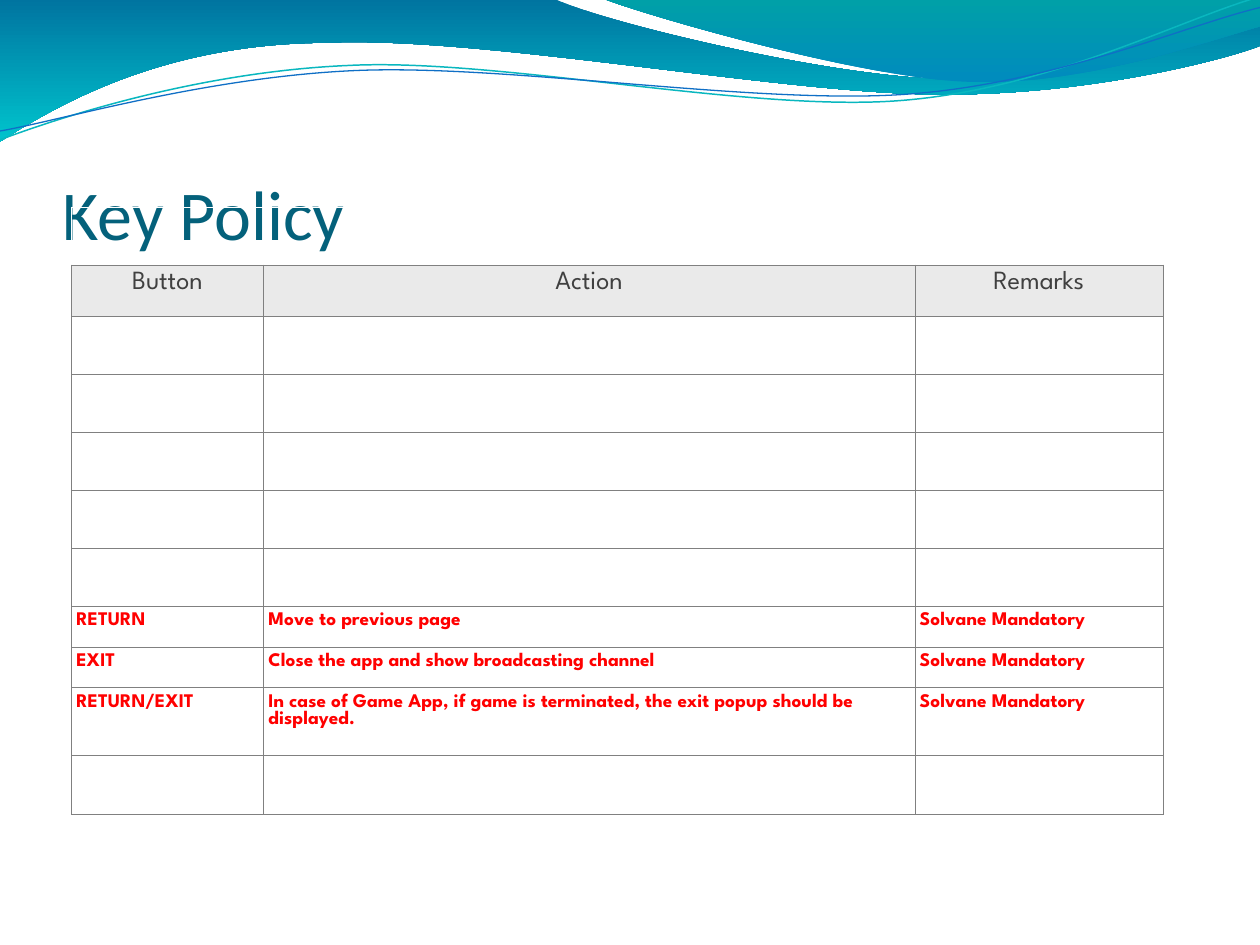
from lxml.etree import SubElement
from pptx import Presentation
from pptx.dml.color import RGBColor as Rgb
from pptx.enum.text import MSO_ANCHOR as Anchor, PP_ALIGN as Align
from pptx.oxml.ns import qn
from pptx.util import Cm, Pt

COLORS = {
    "title": "04617B", "heading": "404040", "mandatory": "FF0000",
    "heading_fill": "EAEAEA", "white": "FFFFFF", "grid": "808080",
    "wave_dark": "0074A0", "wave_light": "00C4CD",
    "crest_low": "008ABF", "crest_high": "00A0A8",
    "teal_line": "09B7BF", "blue_line": "0F6FC6",
}
TITLE = "Key Policy"
HEADINGS = ("Button", "Action", "Remarks")
REMARK = "Solvane Mandatory"
POLICIES = [
    ("RETURN", "Move to previous page", REMARK),
    ("EXIT", "Close the app and show broadcasting channel", REMARK),
    ("RETURN/EXIT", "In case of Game App, if game is terminated, "
     "the exit popup should be displayed.", REMARK),
]
BLANK = ("", "", "")
ROWS = [BLANK, HEADINGS, *[BLANK] * 5, *POLICIES, BLANK]
ROW_HEIGHTS = [1.17, 1.03, *[1.17] * 5, 0.82, 0.82, 1.37, 1.19]
COLUMN_WIDTHS = [3.87, 13.13, 5]

UNIT = Cm(2.54)
BANDS = [
    ([(0, 0), (4.4, -0.01), (4.76, 0.17, 6.64, 0.63, 7.58, 0.63),
      (8.53, 0.63, 9.58, 0.26, 10, 0.09), (10.01, 0.36),
      (9.83, 0.44, 8.7, 0.76, 7.46, 0.75), (6.22, 0.75, 3.82, 0.28, 2.57, 0.34),
      (1.29, 0.35, 0.46, 0.83, -0.01, 1.13), (0, 0)], ("wave_dark", "wave_light"), 270),
    ([(4.79, -0.01), (5.09, 0.11, 6.82, 0.62, 7.69, 0.65),
      (8.56, 0.69, 9.61, 0.32, 10, 0.21), (10, 0), (4.79, -0.01)],
     ("crest_low", "crest_high"), 90),
]
STRANDS = [
    ([(0, 1.11), (0.48, 0.93, 1.58, 0.57, 2.77, 0.52),
      (3.95, 0.46, 5.93, 0.89, 7.13, 0.8),
      (8.33, 0.71, 9.38, 0.15, 9.98, -0.02)], "teal_line", 0.85),
    ([(0, 1.04), (0.47, 0.96, 1.64, 0.61, 2.83, 0.56),
      (4.03, 0.51, 5.97, 0.83, 7.17, 0.75),
      (8.36, 0.67, 9.41, 0.2, 10, 0.06)], "blue_line", 0.75),
]


def rgb(name):
    return Rgb.from_string(COLORS[name])


def add_outline(slide, outline, close):
    points = [(round(part[i] * UNIT), round(part[i + 1] * UNIT))
              for part in outline for i in range(0, len(part), 2)]
    builder = slide.shapes.build_freeform(*points[0], scale=1.0)
    builder.add_line_segments(points[1:], close=close)
    shape = builder.convert_to_shape()
    shape.shadow.inherit = False
    segments = iter(list(shape._element.iter(qn("a:lnTo"))))
    for part in outline[1:]:
        first = next(segments)
        if len(part) == 6:
            curve = first.makeelement(qn("a:cubicBezTo"))
            first.addprevious(curve)
            for segment in (first, next(segments), next(segments)):
                curve.append(segment[0])
                segment.getparent().remove(segment)
    return shape


def write(paragraph, text, font, size, color, bold=False):
    run = paragraph.add_run()
    run.text = text
    run.font.name, run.font.size, run.font.bold = font, Pt(size), bold
    run.font.color.rgb = rgb(color)


def set_borders(cell, colors):
    properties = cell._tc.get_or_add_tcPr()
    for side, color in zip("LRTB", colors):
        line = SubElement(properties, qn(f"a:ln{side}"), w=str(Pt(0.23)))
        fill = SubElement(line, qn("a:solidFill"))
        SubElement(fill, qn("a:srgbClr"), val=COLORS[color])


def add_waves(slide):
    for outline, stops, angle in BANDS:
        band = add_outline(slide, outline, True)
        band.fill.gradient()
        band.fill.gradient_angle = angle
        for stop, color, position in zip(band.fill.gradient_stops, stops, (0, 1)):
            stop.color.rgb = rgb(color)
            stop.position = position
        band.line.fill.background()
    for outline, color, width in STRANDS:
        strand = add_outline(slide, outline, False)
        strand.fill.background()
        strand.line.color.rgb = rgb(color)
        strand.line.width = Pt(width)


def add_title(slide):
    frame = slide.shapes.add_textbox(Cm(1.27), Cm(1.96), Cm(22.86), Cm(3.17)).text_frame
    frame.word_wrap = True
    frame.vertical_anchor = Anchor.BOTTOM
    frame.margin_left = frame.margin_right = frame.margin_bottom = 0
    write(frame.paragraphs[0], TITLE, "Calibri", 40, "title")


def add_policy_table(slide):
    table = slide.shapes.add_table(len(ROWS), len(HEADINGS), Cm(1.44), Cm(4.17),
                                   Cm(sum(COLUMN_WIDTHS)), Cm(sum(ROW_HEIGHTS))).table
    table.first_row = table.horz_banding = False
    for column, width in zip(table.columns, COLUMN_WIDTHS):
        column.width = Cm(width)
    for index, (row, height, texts) in enumerate(zip(table.rows, ROW_HEIGHTS, ROWS)):
        row.height = Cm(height)
        heading = texts is HEADINGS
        for cell, text in zip(row.cells, texts):
            set_borders(cell, ["grid"] * 4 if index else ["white"] * 3 + ["grid"])
            if index:
                cell.fill.solid()
                cell.fill.fore_color.rgb = rgb("heading_fill" if heading else "white")
            else:
                cell.fill.background()
            if not text:
                continue
            cell.margin_left = cell.margin_right = Cm(0.1)
            paragraph = cell.text_frame.paragraphs[0]
            paragraph.space_before = Pt(3 if heading else 2.2)
            if heading:
                paragraph.alignment = Align.CENTER
                write(paragraph, text, "League Spartan", 15, "heading")
            else:
                write(paragraph, text, "League Spartan", 11, "mandatory", True)


def main():
    deck = Presentation()
    deck.slide_width, deck.slide_height = Cm(25.4), Cm(19.05)
    slide = deck.slides.add_slide(deck.slide_layouts[6])
    add_waves(slide)
    add_title(slide)
    add_policy_table(slide)
    deck.save("out.pptx")


if __name__ == "__main__":
    main()
